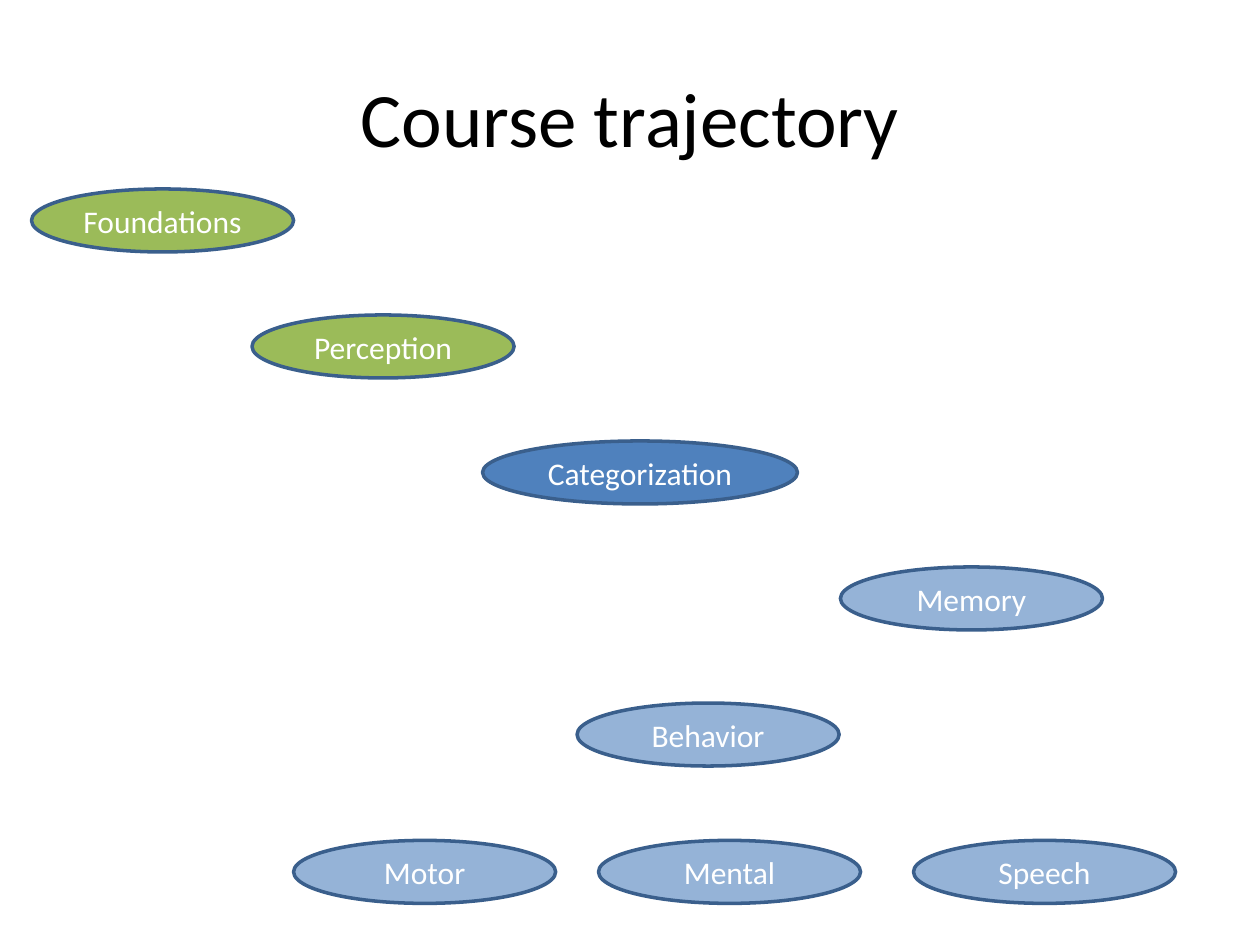
from pptx import Presentation
from pptx.dml.color import RGBColor as RGB
from pptx.enum.shapes import MSO_SHAPE as SHAPE
from pptx.enum.text import MSO_ANCHOR as ANCHOR, PP_ALIGN as ALIGN
from pptx.util import Inches, Pt

COLORS = {
    "back": "FFFFFF",
    "title": "000000",
    "text": "FFFFFF",
    "edge": "3A5F8C",
    "done": "9BBB59",
    "now": "4F81BD",
    "next": "95B3D7",
}
WIDTH, HEIGHT = 2.08, 0.5

# label, left, top, state, width
TOPICS = [
    ("Foundations", 0.25, 1.5, "done", WIDTH),
    ("Perception", 2, 2.5, "done", WIDTH),
    ("Categorization", 3.83, 3.5, "now", 2.5),
    ("Memory", 6.67, 4.5, "next", WIDTH),
    ("Behavior", 4.58, 5.58, "next", WIDTH),
    ("Motor", 2.33, 6.67, "next", WIDTH),
    ("Mental", 4.75, 6.67, "next", WIDTH),
    ("Speech", 7.25, 6.67, "next", WIDTH),
]


def color(name):
    return RGB.from_string(COLORS[name])


def write(shape, text, size, ink):
    """Put one centred line of text in the shape."""
    frame = shape.text_frame
    frame.text = text
    frame.word_wrap = True
    frame.vertical_anchor = ANCHOR.MIDDLE
    line = frame.paragraphs[0]
    line.alignment = ALIGN.CENTER
    for key, value in {"name": "Calibri", "size": Pt(size)}.items():
        setattr(line.font, key, value)
    line.font.color.rgb = color(ink)


def add_title(slide, text):
    title = slide.shapes.title
    place = {"left": 0.5, "top": 0.3, "width": 9, "height": 1.25}
    for key, value in place.items():
        setattr(title, key, Inches(value))
    write(title, text, 44, "title")


def add_topic(slide, label, left, top, state, width):
    box = map(Inches, (left, top, width, HEIGHT))
    oval = slide.shapes.add_shape(SHAPE.OVAL, *box)
    oval.shadow.inherit = False
    oval.fill.solid()
    oval.fill.fore_color.rgb = color(state)
    oval.line.color.rgb = color("edge")
    oval.line.width = Pt(2)
    write(oval, label, 18, "text")


def main():
    deck = Presentation()
    deck.slide_width, deck.slide_height = Inches(10), Inches(7.5)
    slide = deck.slides.add_slide(deck.slide_layouts[5])
    slide.background.fill.solid()
    slide.background.fill.fore_color.rgb = color("back")
    add_title(slide, "Course trajectory")
    for topic in TOPICS:
        add_topic(slide, *topic)
    deck.save("out.pptx")


if __name__ == "__main__":
    main()
